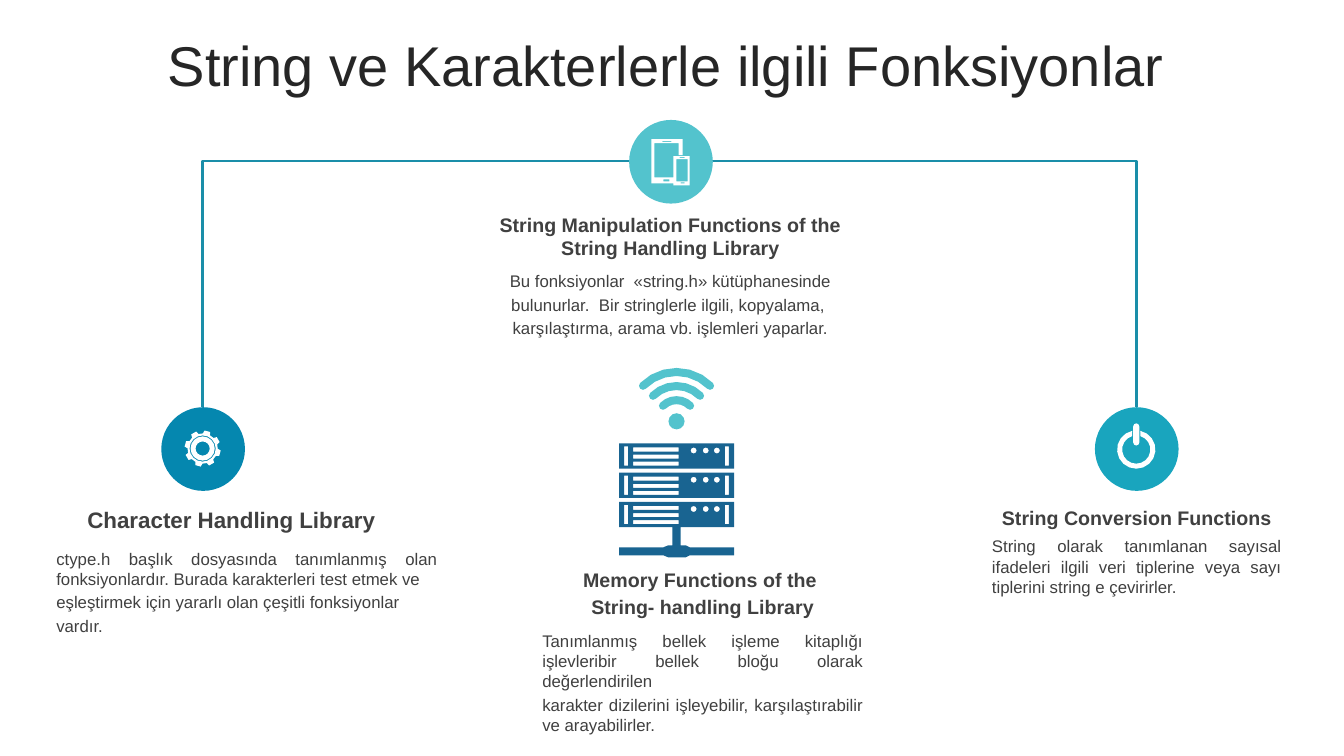
from math import cos, radians, sin

from lxml.etree import SubElement
from pptx import Presentation
from pptx.dml.color import RGBColor
from pptx.enum.shapes import MSO_CONNECTOR, MSO_SHAPE
from pptx.enum.text import MSO_ANCHOR, MSO_AUTO_SIZE, PP_ALIGN
from pptx.oxml.ns import qn
from pptx.util import Pt

PX = 9144  # 100 px to the inch
rgb = RGBColor.from_string
AQUA, TEAL, BLUE, NAVY = "53C3CD", "19A5BE", "0587AF", "196491"
WHITE, DARK, GREY, LINE = "FFFFFF", "262626", "404040", "1A8EA9"
CENTER, JUSTIFY = PP_ALIGN.CENTER, PP_ALIGN.JUSTIFY


def box(x, y, w, h):
    return [(x, y), (x + w, y), (x + w, y + h), (x, y + h)]


def arc(x, y, radius, start, end, steps):
    """Points along an arc; angles run clockwise from the right, in degrees."""
    angles = [radians(start + (end - start) * i / steps) for i in range(steps + 1)]
    return [(x + radius * cos(a), y + radius * sin(a)) for a in angles]


prs = Presentation()
prs.slide_width, prs.slide_height = 1333 * PX, 750 * PX
slide = prs.slides.add_slide(prs.slide_layouts[5])
shapes = slide.shapes

# Title
title = shapes.title
title.left, title.top, title.width, title.height = (v * PX for v in (27, 28, 1266, 79))
title.text_frame.text = "String ve Karakterlerle ilgili Fonksiyonlar"
title.text_frame.auto_size = MSO_AUTO_SIZE.NONE
title.text_frame.vertical_anchor = MSO_ANCHOR.MIDDLE
heading = title.text_frame.paragraphs[0]
heading.alignment, heading.line_spacing = CENTER, 0.9
heading.runs[0].font.name = "Arial"
heading.runs[0].font.size = Pt(40)
heading.runs[0].font.color.rgb = rgb(DARK)

# Branches from the top circle to the two lower ones
for start_x, end_x in [(706, 1127), (624, 201)]:
    branch = shapes.add_connector(
        MSO_CONNECTOR.ELBOW, start_x * PX, 160 * PX, end_x * PX, 404 * PX)
    branch.line.color.rgb = rgb(LINE)
    branch.line.width = Pt(1.75)
    properties = branch._element.spPr
    properties.find(qn("a:prstGeom")).set("prst", "bentConnector2")
    SubElement(properties, qn("a:effectLst"))

# Circles behind the icons
for left, top, color in [(624, 119, AQUA), (160, 404, BLUE), (1086, 404, TEAL)]:
    circle = shapes.add_shape(MSO_SHAPE.OVAL, left * PX, top * PX, 83 * PX, 83 * PX)
    circle.shadow.inherit = False
    circle.fill.solid()
    circle.fill.fore_color.rgb = rgb(color)
    circle.line.fill.background()

# Icons: each is a list of closed outlines, inner ones cut holes
devices = [
    [(646, 138), (677, 138), (677, 154), (673, 154), (673, 142), (649, 142),
     (649, 176), (668, 176), (668, 182), (646, 182)],
    box(657, 140, 9, 1), box(658, 178, 6, 2),
    box(668, 155, 16, 29), box(671, 158, 11, 22),
    box(674, 156, 5, 1), box(675, 181, 4, 1),
]

gear_teeth = []
for angle in range(-75, 285, 45):
    gear_teeth += arc(201, 445, 18, angle - 9, angle + 9, 1)
    gear_teeth += arc(201, 445, 15, angle + 14, angle + 31, 1)
gear = [gear_teeth] + [arc(201, 445, radius, 0, 360, 16) for radius in (13, 12, 7)]

power = [
    arc(1127, 446, 19, 282, 618, 16) + arc(1127, 446, 14, 613, 287, 16),
    arc(1127, 423, 3, 180, 360, 4) + arc(1127, 439, 3, 0, 180, 4),
]

wifi = [arc(671, 418, 8, 0, 360, 12)]
for radius in (19, 33, 47):
    side = radius * cos(radians(45))
    wifi.append(arc(671, 416, radius + 4, 225, 315, 6)
                + arc(671 + side, 416 - side, 4, 315, 495, 4)
                + arc(671, 416, radius - 4, 315, 225, 6)
                + arc(671 - side, 416 - side, 4, 45, 225, 4))

server = [[(667, 523), (675, 523), (675, 541), (680, 541), (684, 543), (728, 543),
           (728, 551), (684, 551), (680, 553), (663, 553), (658, 551), (614, 551),
           (614, 543), (658, 543), (663, 541), (667, 541)]]
for top in (440, 469, 498):
    server += [box(614, top, 114, 25), box(619, top + 3, 4, 19), box(719, top + 3, 4, 19)]
    server += [box(628, top + 4 + 7 * row, 45, 4) for row in range(3)]
    server += [arc(x, top + 7, 3, 0, 360, 8) for x in (688, 700, 711)]

for outlines, color in [(devices, WHITE), (gear, WHITE), (power, WHITE),
                        (wifi, AQUA), (server, NAVY)]:
    builder = None
    for outline in outlines:
        points = [(round(x * PX), round(y * PX)) for x, y in outline]
        if builder is None:
            builder = shapes.build_freeform(*points[0])
        else:
            builder.move_to(*points[0])
        builder.add_line_segments(points[1:], close=True)
    icon = builder.convert_to_shape()
    icon.shadow.inherit = False
    icon.fill.solid()
    icon.fill.fore_color.rgb = rgb(color)
    icon.line.fill.background()

# Headings and descriptions: place, size, bold, alignment, text
texts = [
    ((46, 497, 367, 42), 16, True, CENTER, "Character Handling Library"),
    ((46, 539, 398, 104), 12, False, JUSTIFY,
     "ctype.h başlık dosyasında tanımlanmış olan fonksiyonlardır. "
     "Burada karakterleri test etmek ve\n"
     "eşleştirmek için yararlı olan çeşitli fonksiyonlar\nvardır."),
    ((974, 497, 307, 30), 14, True, CENTER, "String Conversion Functions"),
    ((974, 527, 307, 75), 12, False, JUSTIFY,
     "String olarak tanımlanan sayısal ifadeleri ilgili veri tiplerine "
     "veya sayı tiplerini string e çevirirler."),
    ((480, 206, 370, 59), 14, True, CENTER,
     "String Manipulation Functions of the String Handling Library"),
    ((480, 264, 370, 132), 12, False, CENTER,
     "Bu fonksiyonlar  «string.h» kütüphanesinde\n"
     "bulunurlar.  Bir stringlerle ilgili, kopyalama, \n"
     "karşılaştırma, arama vb. işlemleri yaparlar."),
    ((528, 558, 338, 72), 14, True, CENTER,
     "Memory Functions of the \nString- handling Library"),
    ((528, 621, 338, 84), 12, False, JUSTIFY,
     "Tanımlanmış bellek işleme kitaplığı işlevleribir bellek bloğu "
     "olarak değerlendirilen \n"
     "karakter dizilerini işleyebilir, karşılaştırabilir ve arayabilirler."),
]
for place, size, bold, alignment, wording in texts:
    frame = shapes.add_textbox(*(v * PX for v in place)).text_frame
    frame.word_wrap = True
    frame.text = wording
    for paragraph in frame.paragraphs:
        paragraph.alignment = alignment
        paragraph.space_before = Pt(size * 0.2)
        font = paragraph.runs[0].font
        font.name, font.size, font.bold = "Arial", Pt(size), bold
        font.color.rgb = rgb(GREY)

prs.save("out.pptx")
